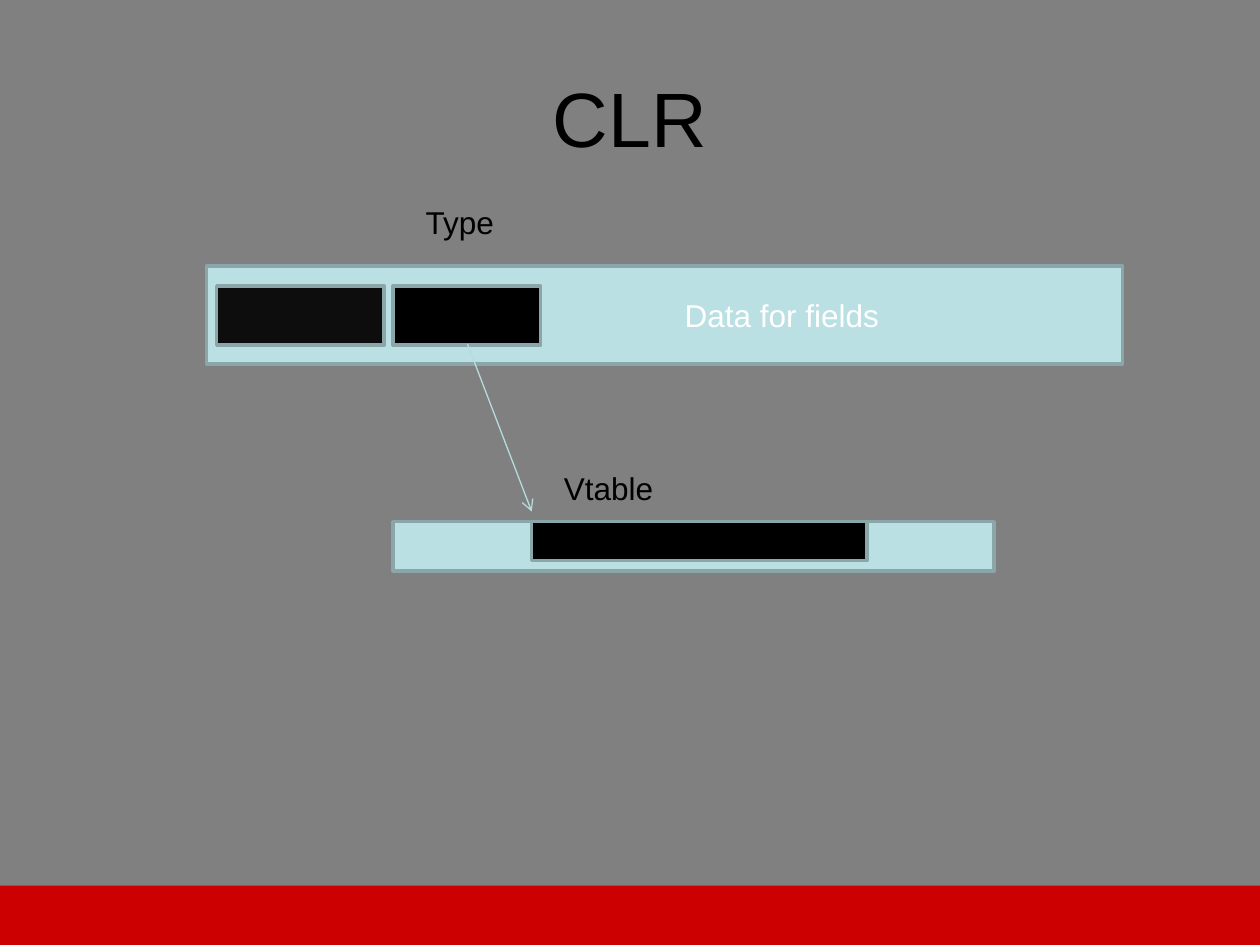
from dataclasses import dataclass

from lxml.etree import SubElement
from pptx import Presentation
from pptx.dml.color import RGBColor
from pptx.enum.shapes import MSO_CONNECTOR, MSO_SHAPE
from pptx.enum.text import MSO_ANCHOR, PP_ALIGN
from pptx.oxml.ns import qn
from pptx.util import Inches, Pt


@dataclass(frozen=True)
class Theme:
    """Colours and type sizes of the slide."""
    font: str = "Arial"
    title_size: int = 44
    body_size: int = 18
    background: str = "808080"
    memory: str = "BBE0E3"
    outline: str = "8AA6A8"
    arrow: str = "B6DCDF"
    header: str = "0D0D0D"
    black: str = "000000"
    white: str = "FFFFFF"
    footer: str = "CC0001"


THEME = Theme()


def colour(code):
    """Turn a hex code into a colour."""
    return RGBColor.from_string(code)


def write(box, text, size, ink, align=PP_ALIGN.CENTER):
    """Write one styled paragraph into a box."""
    para = box.text_frame.paragraphs[0]
    para.text = text
    para.alignment = align
    para.font.name = THEME.font
    para.font.size = Pt(size)
    para.font.color.rgb = colour(ink)


def add_label(page, text, left, top, width, height, size=THEME.body_size,
              align=PP_ALIGN.CENTER, anchor=MSO_ANCHOR.TOP, wrap=False):
    """Add a text box with black text."""
    box = page.shapes.add_textbox(*map(Inches, (left, top, width, height)))
    box.text_frame.word_wrap = wrap
    box.text_frame.vertical_anchor = anchor
    write(box, text, size, THEME.black, align)
    return box


def add_block(shapes, fill, left, top, width, height, outlined=True):
    """Add a filled rectangle, outlined unless told otherwise."""
    box = shapes.add_shape(MSO_SHAPE.RECTANGLE,
                           *map(Inches, (left, top, width, height)))
    box.shadow.inherit = False
    box.fill.solid()
    box.fill.fore_color.rgb = colour(fill)
    if outlined:
        box.line.color.rgb = colour(THEME.outline)
        box.line.width = Pt(2)
    else:
        box.line.fill.background()
    return box


def add_arrow(page, start, end):
    """Add a thin line with an open arrowhead at its end."""
    arrow = page.shapes.add_connector(MSO_CONNECTOR.STRAIGHT,
                                      *map(Inches, start + end))
    arrow.line.color.rgb = colour(THEME.arrow)
    arrow.line.width = Pt(0.75)
    properties = arrow.element.spPr
    SubElement(properties.find(qn("a:ln")), qn("a:tailEnd"), type="arrow")
    SubElement(properties, qn("a:effectLst"))


def add_type_object(page):
    """Draw the object with its header, table pointer and fields."""
    fields = add_block(page.shapes, THEME.memory, 1.64, 2.11, 7.27, 0.78)
    fields.text_frame.margin_left = Inches(1.96)
    fields.text_frame.vertical_anchor = MSO_ANCHOR.MIDDLE
    write(fields, "Data for fields", THEME.body_size, THEME.white)
    add_block(page.shapes, THEME.header, 1.72, 2.27, 1.33, 0.47)
    add_block(page.shapes, THEME.black, 3.12, 2.27, 1.17, 0.47)


def add_vtable(page):
    """Draw the grouped virtual table."""
    group = page.shapes.add_group_shape()
    add_block(group.shapes, THEME.memory, 3.12, 4.14, 4.77, 0.39)
    add_block(group.shapes, THEME.black, 4.22, 4.14, 2.66, 0.31)


def main():
    """Build and save the slide."""
    deck = Presentation()
    deck.slide_width, deck.slide_height = Inches(10), Inches(7.5)
    page = deck.slides.add_slide(deck.slide_layouts[6])
    page.background.fill.solid()
    page.background.fill.fore_color.rgb = colour(THEME.background)
    add_label(page, "CLR", 0.5, 0.3, 9, 1.25, THEME.title_size,
              anchor=MSO_ANCHOR.MIDDLE, wrap=True)
    add_type_object(page)
    add_vtable(page)
    add_arrow(page, (3.71, 2.73), (4.22, 4.06))
    add_label(page, "Vtable", 4.37, 3.67, 0.92, 0.4)
    add_block(page.shapes, THEME.footer, 0, 7.03, 10, 0.47, outlined=False)
    add_label(page, "Type", 3.28, 1.56, 0.75, 0.4, align=PP_ALIGN.LEFT)
    deck.save("out.pptx")


main()
